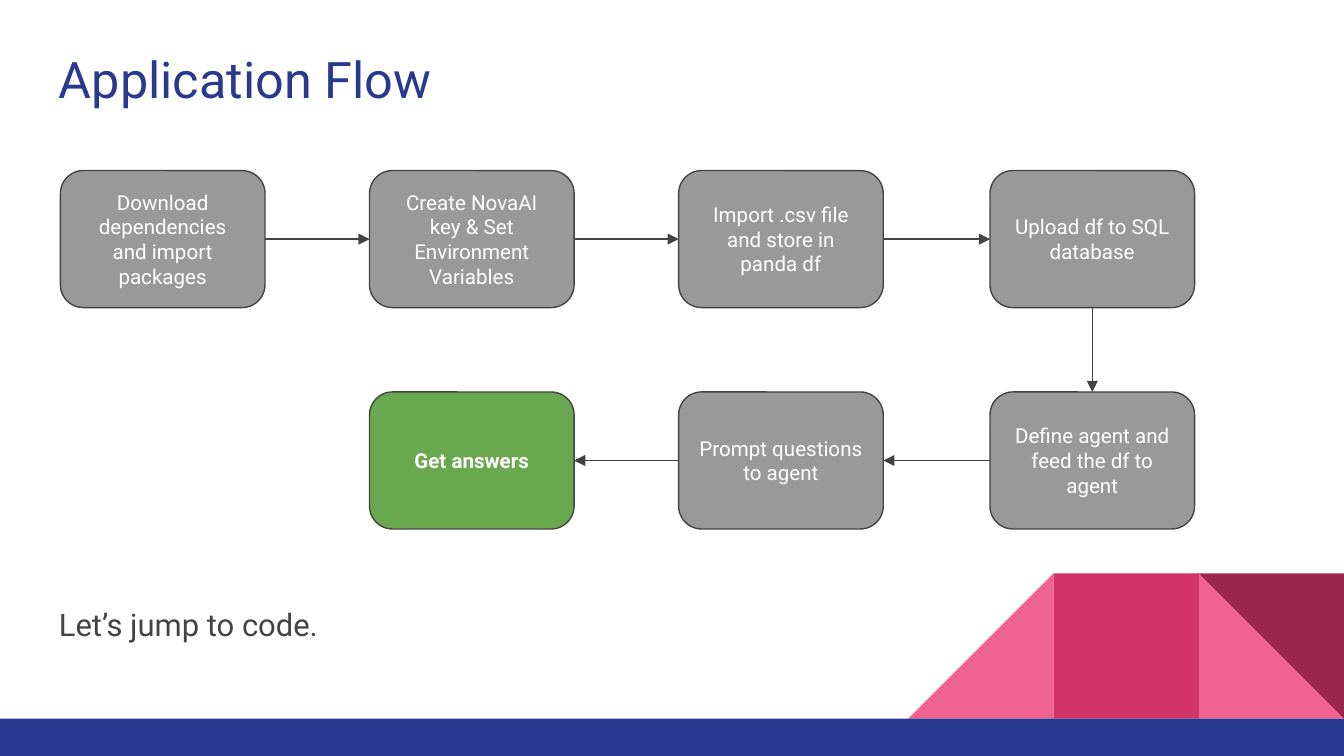
from itertools import pairwise

from lxml.etree import SubElement
from pptx import Presentation
from pptx.dml.color import RGBColor
from pptx.enum.shapes import MSO_CONNECTOR, MSO_SHAPE
from pptx.enum.text import MSO_ANCHOR, PP_ALIGN
from pptx.oxml.ns import qn
from pptx.util import Pt

COLORS = {
    "navy": "2A3990",
    "pink": "F06292",
    "rose": "D23369",
    "wine": "9C254D",
    "gray": "999999",
    "green": "6AA84F",
    "dark": "434343",
    "white": "FFFFFF",
}
FONT = "Roboto"
TOP, LEFT, BOTTOM, RIGHT = range(4)
COLUMNS = (32.4, 198, 363.6, 530.4)
ROWS = (91.4, 210)
STEP_WIDTH, STEP_HEIGHT = 109.6, 73.4
STEPS = [
    ("Download dependencies and import packages", 0, 0),
    ("Create NovaAI key & Set Environment Variables", 1, 0),
    ("Import .csv file and store in panda df", 2, 0),
    ("Upload df to SQL database", 3, 0),
    ("Define agent and feed the df to agent", 3, 1),
    ("Prompt questions to agent", 2, 1),
    ("Get answers", 1, 1),
]


def rgb(name):
    """Return the named palette colour."""
    return RGBColor.from_string(COLORS[name])


def add_block(page, kind, left, top, width, height, color, rotation=0):
    """Add a flat filled shape without an outline."""
    block = page.shapes.add_shape(kind, Pt(left), Pt(top), Pt(width), Pt(height))
    block.shadow.inherit = False
    block.fill.solid()
    block.fill.fore_color.rgb = rgb(color)
    block.line.fill.background()
    block.rotation = rotation
    return block


def write(box, text, size, color, bold=False):
    """Put one styled paragraph into a box with even insets."""
    frame = box.text_frame
    frame.word_wrap = True
    frame.margin_left = frame.margin_right = Pt(7.2)
    frame.margin_top = frame.margin_bottom = Pt(7.2)
    para = frame.paragraphs[0]
    para.text = text
    para.font.name = FONT
    para.font.size = Pt(size)
    para.font.bold = bold
    para.font.color.rgb = rgb(color)
    return para


def add_text(page, text, top, height, size, color):
    """Add a left-aligned line of text across the slide."""
    box = page.shapes.add_textbox(Pt(24.5), Pt(top), Pt(671), Pt(height))
    write(box, text, size, color)


def add_step(page, text, column, row, final):
    """Add one rounded step of the flow, highlighted if final."""
    step = add_block(page, MSO_SHAPE.ROUNDED_RECTANGLE, COLUMNS[column], ROWS[row],
                     STEP_WIDTH, STEP_HEIGHT, "green" if final else "gray")
    step.line.color.rgb = rgb("dark")
    step.line.width = Pt(0.75)
    para = write(step, text, 11, "white", final)
    para.alignment = PP_ALIGN.CENTER
    step.text_frame.vertical_anchor = MSO_ANCHOR.MIDDLE
    return step


def add_arrow(page, source, target):
    """Join two neighbouring steps with an arrow."""
    if source.left == target.left:
        start, end = BOTTOM, TOP
    elif source.left < target.left:
        start, end = RIGHT, LEFT
    else:
        start, end = LEFT, RIGHT
    arrow = page.shapes.add_connector(MSO_CONNECTOR.STRAIGHT, 0, 0, 0, 0)
    arrow.begin_connect(source, start)
    arrow.end_connect(target, end)
    arrow.line.color.rgb = rgb("dark")
    arrow.line.width = Pt(0.75)
    SubElement(arrow.line._get_or_add_ln(), qn("a:tailEnd"),
               type="triangle", w="med", len="med")
    SubElement(arrow._element.spPr, qn("a:effectLst"))


def add_decoration(page):
    """Add the corner pattern and the bottom band."""
    side, band_top = 77.8, 385
    triangle = MSO_SHAPE.RIGHT_TRIANGLE
    tiles = [
        (triangle, 1, "pink", 0),
        (triangle, 3, "pink", 270),
        (MSO_SHAPE.RECTANGLE, 2, "rose", 0),
        (triangle, 1, "wine", 180),
    ]
    for kind, place, color, rotation in tiles:
        add_block(page, kind, 720 - place * side, band_top - side, side, side,
                  color, rotation)
    add_block(page, MSO_SHAPE.RECTANGLE, 0, band_top, 720, 20, "navy")


def main():
    """Build the application flow slide."""
    deck = Presentation()
    deck.slide_width, deck.slide_height = Pt(720), Pt(405)
    page = deck.slides.add_slide(deck.slide_layouts[6])
    add_decoration(page)
    add_text(page, "Application Flow", 18.7, 48, 27, "navy")
    add_text(page, "Let’s jump to code.", 317, 36, 16.6, "dark")
    steps = [add_step(page, *step, final=step is STEPS[-1]) for step in STEPS]
    for source, target in pairwise(steps):
        add_arrow(page, source, target)
    deck.save("out.pptx")


if __name__ == "__main__":
    main()
